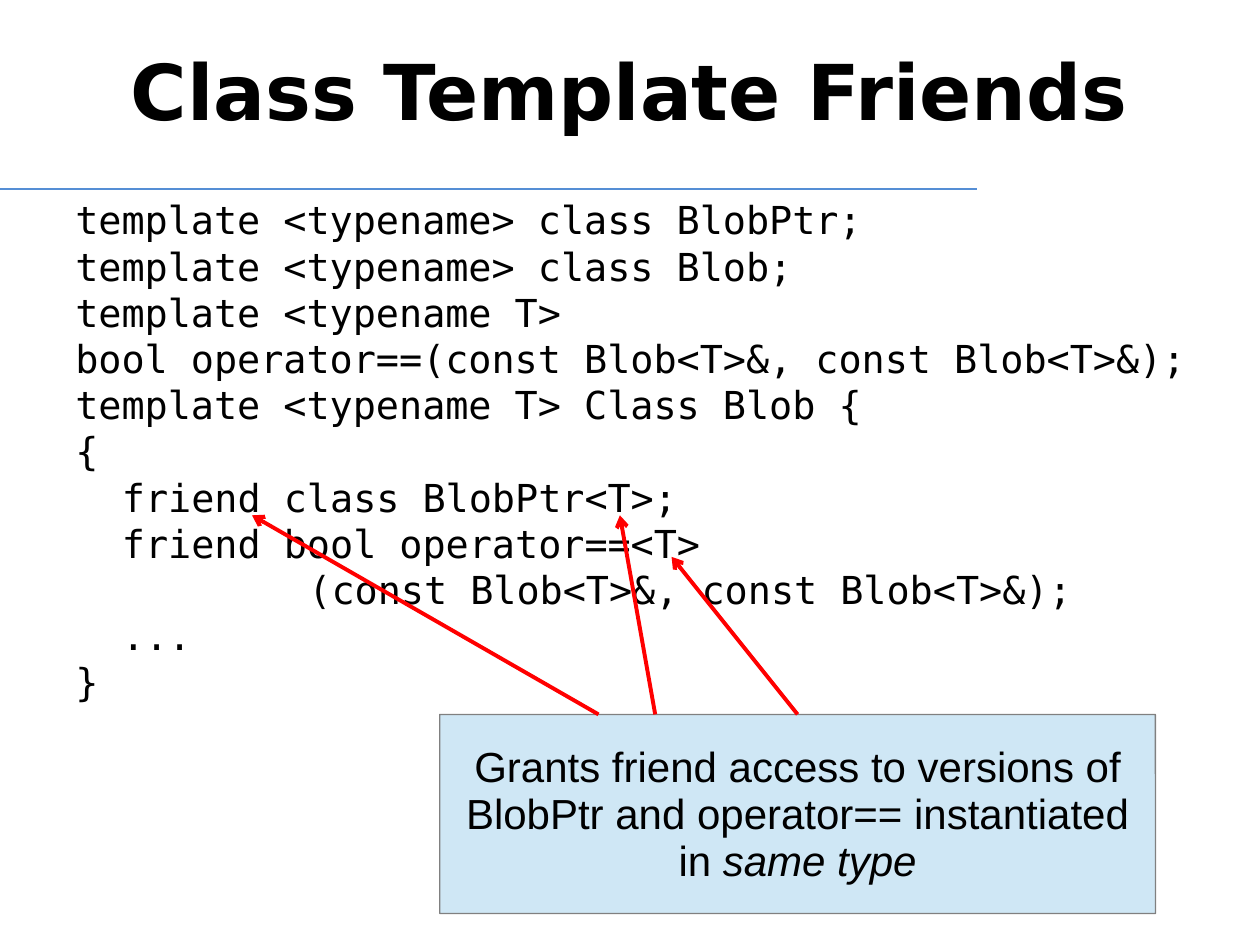
from lxml.etree import SubElement
from pptx import Presentation
from pptx.dml.color import RGBColor
from pptx.enum.shapes import MSO_CONNECTOR, MSO_SHAPE
from pptx.enum.text import MSO_ANCHOR, PP_ALIGN
from pptx.oxml.ns import qn
from pptx.util import Pt

PX = 9144
BLACK = RGBColor(0x00, 0x00, 0x00)
RULE_BLUE = RGBColor(0x55, 0x8E, 0xD5)
NOTE_BLUE = RGBColor(0xCF, 0xE7, 0xF5)
NOTE_BORDER = RGBColor(0x80, 0x80, 0x80)
ARROW_RED = RGBColor(0xFF, 0x00, 0x00)

INDENT_STEP = 37
CODE_LINES = [
    (0, "template <typename> class BlobPtr;"),
    (0, "template <typename> class Blob;"),
    (0, "template <typename T>"),
    (0, "bool operator==(const Blob<T>&, const Blob<T>&);"),
    (0, "template <typename T> Class Blob {"),
    (0, "{"),
    (1, "friend class BlobPtr<T>;"),
    (1, "friend bool operator==<T>"),
    (5, "(const Blob<T>&, const Blob<T>&);"),
    (1, "..."),
    (0, "}"),
]


def to_emu(*lengths):
    """Turn px lengths into EMU."""
    return [length * PX for length in lengths]


def add_run(paragraph, text, font_name, size, bold=False, italic=False):
    """Add one black run to a paragraph."""
    run = paragraph.add_run()
    run.text = text
    run.font.name = font_name
    run.font.size = Pt(size)
    run.font.bold = bold
    run.font.italic = italic
    run.font.color.rgb = BLACK


def add_line(slide, start, end, color, width, arrow=False):
    """Draw a straight line, with an open arrowhead at its end if asked."""
    connector = slide.shapes.add_connector(
        MSO_CONNECTOR.STRAIGHT, *to_emu(*start, *end))
    connector.line.color.rgb = color
    connector.line.width = Pt(width)
    if arrow:
        SubElement(connector.line._get_or_add_ln(), qn("a:tailEnd"), type="arrow")
    SubElement(connector._element.spPr, qn("a:effectLst"))


def add_text_frame(slide, box):
    """Add a wrapping text box and return its text frame."""
    text_frame = slide.shapes.add_textbox(*to_emu(*box)).text_frame
    text_frame.word_wrap = True
    return text_frame


def add_title(slide, box):
    """Place the centred title and the rule under it."""
    left, top, width, height = box
    paragraph = add_text_frame(slide, box).paragraphs[0]
    paragraph.alignment = PP_ALIGN.CENTER
    add_run(paragraph, "Class Template Friends", "DejaVu Sans", 44, bold=True)
    rule_top = top + height - 5
    add_line(slide, (0, rule_top), (left + 725, rule_top), RULE_BLUE, 0.75)


def add_code(slide, box):
    """Place the code listing, one paragraph a line."""
    text_frame = add_text_frame(slide, box)
    for index, (level, text) in enumerate(CODE_LINES):
        paragraph = text_frame.add_paragraph() if index else text_frame.paragraphs[0]
        properties = paragraph._p.get_or_add_pPr()
        properties.set("marL", str(level * INDENT_STEP * PX))
        properties.set("indent", "0")
        add_run(paragraph, text, "DejaVu Sans Mono", 22)


def add_note(slide, box):
    """Place the note and the arrows from its top edge to the code."""
    left, top, width, height = box
    note = slide.shapes.add_shape(MSO_SHAPE.ROUNDED_RECTANGLE, *to_emu(*box))
    note.adjustments[0] = 0.001
    note.shadow.inherit = False
    note.fill.solid()
    note.fill.fore_color.rgb = NOTE_BLUE
    note.line.color.rgb = NOTE_BORDER
    note.line.width = Pt(0.75)
    text_frame = note.text_frame
    text_frame.word_wrap = True
    text_frame.vertical_anchor = MSO_ANCHOR.MIDDLE
    text_frame.margin_top = 7 * PX
    paragraph = text_frame.paragraphs[0]
    paragraph.alignment = PP_ALIGN.CENTER
    paragraph.line_spacing = 0.93
    add_run(paragraph, "Grants friend access to versions of BlobPtr and "
            "operator== instantiated in ", "Arial", 24)
    add_run(paragraph, "same type", "Arial", 24, italic=True)
    for start, end, rise in [(171, 143, 158), (284, 184, 125), (126, -149, 158)]:
        add_line(slide, (left + start, top), (left + end, top - rise),
                 ARROW_RED, 2.25, arrow=True)


def main():
    """Build and save the slide."""
    presentation = Presentation()
    presentation.slide_width, presentation.slide_height = to_emu(1000, 750)
    slide = presentation.slides.add_slide(presentation.slide_layouts[6])
    add_title(slide, (50, 30, 900, 125))
    add_code(slide, (50, 151, 940, 515))
    add_note(slide, (349, 567, 568, 158))
    presentation.save("out.pptx")


if __name__ == "__main__":
    main()
